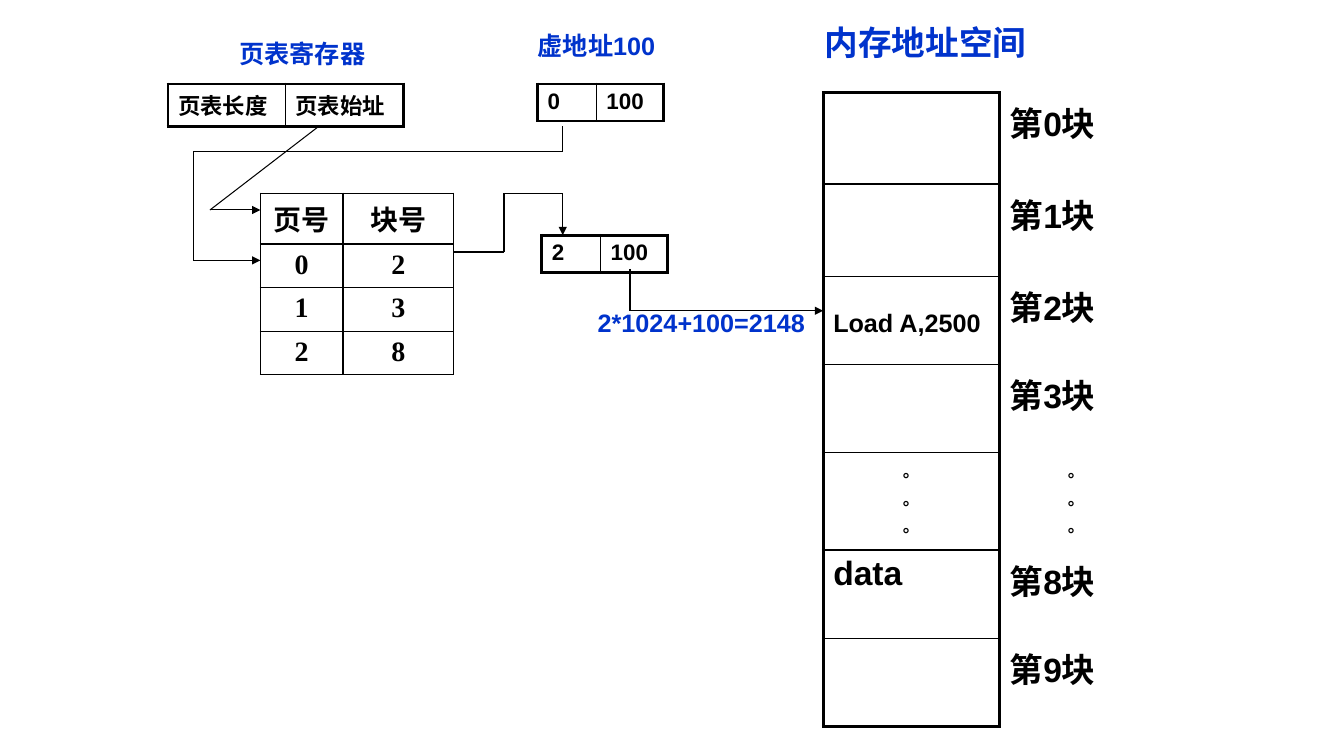
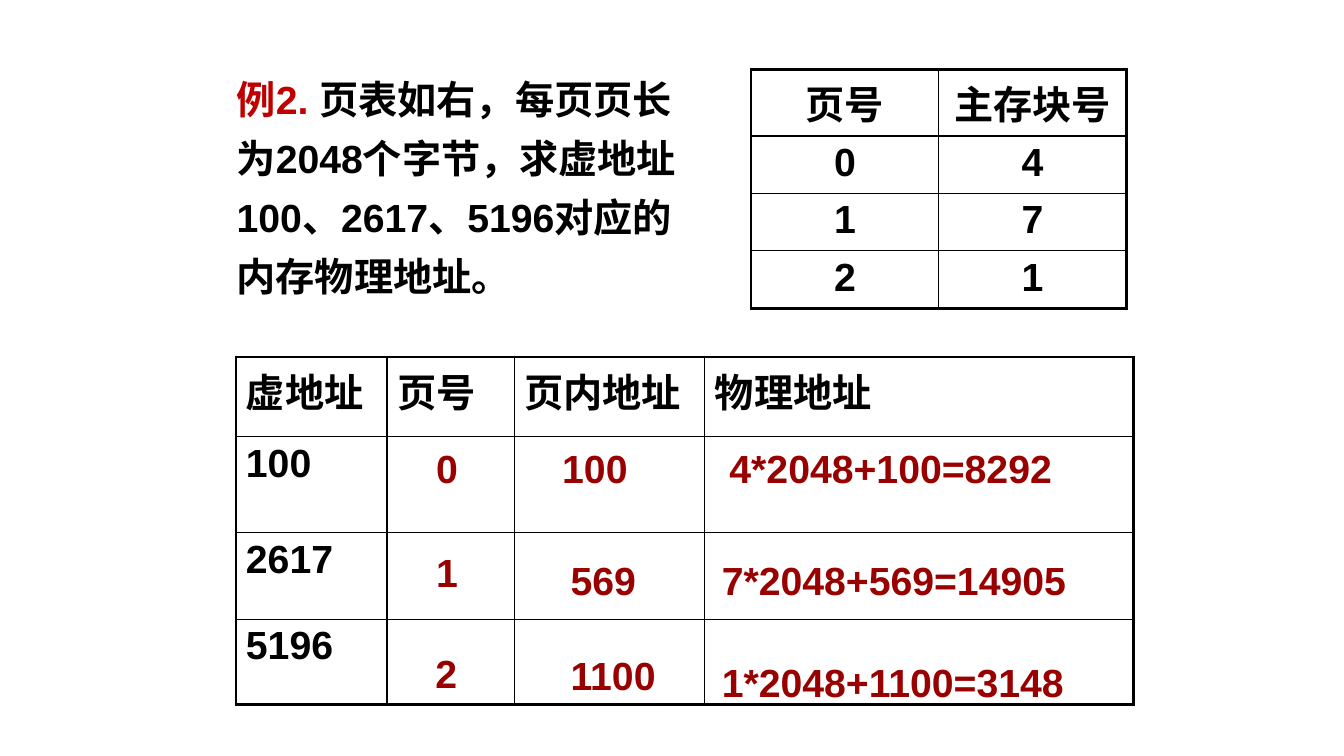
"""Build two slides on translating virtual addresses with a page table."""
from itertools import pairwise

from lxml import etree
from pptx import Presentation
from pptx.dml.color import RGBColor
from pptx.enum.shapes import MSO_CONNECTOR
from pptx.enum.text import PP_ALIGN
from pptx.oxml.ns import qn
from pptx.util import Pt

LEFT, CENTER = PP_ALIGN.LEFT, PP_ALIGN.CENTER
STRAIGHT = MSO_CONNECTOR.STRAIGHT
BLACK, BLUE, RED, DARK_RED = "000000", "0033CC", "C00000", "990000"
THICK, THIN, ARROW = 2.25, 1, 0.75
BASE = {"name": "Arial", "size": 18, "bold": True, "color": BLACK, "align": LEFT}

DOTS = ("。\n。\n。", {"size": 12, "align": CENTER})
LOAD = ("Load A,2500", {"size": 18, "top": 24})
ADDRESS = {"cols": [42, 48], "heights": [26.4], "format": {"size": 16}}

HEADINGS = [
    ("内存地址空间", (582, 12, 174, 36), {"size": 24}),
    ("页表寄存器", (156, 24, 120, 29), {"align": CENTER}),
    ("虚地址100", (366, 18, 120, 29), {"align": CENTER}),
    ("2*1024+100=2148", (414, 216, 174, 29), {"align": CENTER}),
]
TRANSLATION_TABLES = [
    {"at": (588, 66), "cols": [126, 109.5], "framed": 1,
     "heights": [65.5, 66, 63, 63, 69.5, 63, 63], "format": {"size": 24},
     "rows": [["", "第0块"], ["", "第1块"], [LOAD, "第2块"], ["", "第3块"],
              [DOTS, DOTS], ["data", "第8块"], ["", "第9块"]]},
    {"at": (120, 60), "cols": [84, 84], "heights": [30], "format": {"size": 16},
     "rows": [["页表长度", "页表始址"]]},
    {"at": (186, 138), "cols": [59, 79], "heights": [31.2] * 4, "outer": THIN,
     "format": {"size": 20, "name": "Times New Roman", "align": CENTER},
     "rows": [["页号", "块号"], ["0", "2"], ["1", "3"], ["2", "8"]]},
    {"at": (384, 60), "rows": [["0", "100"]], **ADDRESS},
    {"at": (387, 168), "rows": [["2", "100"]], **ADDRESS},
]
ROUTES = [
    [(228, 90), (150, 150), (186, 150)],
    [(402, 90), (402, 108), (138, 108), (138, 186), (186, 186)],
    [(324, 180), (360, 180), (360, 138), (402, 138), (402, 168)],
    [(450, 192), (450, 222), (588, 222)],
]

QUESTION = [
    ("例2. ", RED),
    ("页表如右，每页页长为2048个字节，求虚地址100、2617、5196对应的内存物理地址。", BLACK),
]
EXERCISE_TABLES = [
    {"at": (168.5, 255), "cols": [108, 91, 136, 306],
     "heights": [57, 68.5, 62, 61], "format": {"size": 28},
     "rows": [["虚地址", "页号", "页内地址", "物理地址"],
              ["100", "", "", ""], ["2617", "", "", ""], ["5196", "", "", ""]]},
    {"at": (536.5, 49.5), "cols": [134, 134], "heights": [41] * 4,
     "format": {"size": 28, "align": CENTER},
     "rows": [["页号", "主存块号"], ["0", "4"], ["1", "7"], ["2", "1"]]},
]
ANSWER_WIDTHS = [57, 85, 294]
ANSWERS = [
    [("0", 304.5, 314), ("100", 394.5, 314), ("4*2048+100=8292", 514, 314)],
    [("1", 304.5, 388), ("569", 400.5, 394), ("7*2048+569=14905", 508.5, 394)],
    [("2", 304, 460), ("1100", 400.5, 461.5), ("1*2048+1100=3148", 508.5, 467)],
]


def rgb(value):
    """Turn a hex string into a colour."""
    return RGBColor.from_string(value)


def add_run(paragraph, text, look):
    """Append a run and apply its font values."""
    run = paragraph.add_run()
    run.text = text
    values = {"name": look["name"], "size": Pt(look["size"]), "bold": look["bold"]}
    for key, value in values.items():
        setattr(run.font, key, value)
    run.font.color.rgb = rgb(look["color"])


def write(frame, text, look):
    """Fill a text frame with one paragraph for each line of text."""
    for index, line in enumerate(text.split("\n")):
        paragraph = frame.add_paragraph() if index else frame.paragraphs[0]
        paragraph.alignment = look["align"]
        if index:
            paragraph.space_before = Pt(0.2 * look["size"])
        add_run(paragraph, line, look)


def add_box(slide, box):
    """Add an empty wrapping text box and return its text frame."""
    frame = slide.shapes.add_textbox(*map(Pt, box)).text_frame
    frame.word_wrap = True
    return frame


def set_borders(cell, widths):
    """Draw the four cell borders, leaving out those of zero width."""
    properties = cell._tc.get_or_add_tcPr()
    for index, (side, width) in enumerate(widths.items()):
        line = etree.Element(qn(f"a:ln{side}"), w=str(Pt(width)))
        if width:
            fill = etree.SubElement(line, qn("a:solidFill"))
            etree.SubElement(fill, qn("a:srgbClr"), val=BLACK)
        else:
            etree.SubElement(line, qn("a:noFill"))
        properties.insert(index, line)


def add_grid(slide, grid):
    """Add a table whose first framed columns carry an outer border."""
    cols, heights, rows = grid["cols"], grid["heights"], grid["rows"]
    outer, framed = grid.get("outer", THICK), grid.get("framed", len(cols))
    size = (sum(cols), sum(heights))
    table = slide.shapes.add_table(
        len(rows), len(cols), *map(Pt, grid["at"] + size)).table
    table.first_row = table.horz_banding = False
    for column, width in zip(table.columns, cols):
        column.width = Pt(width)
    for row, height in zip(table.rows, heights):
        row.height = Pt(height)
    for r, row in enumerate(rows):
        for c, content in enumerate(row):
            text, extra = content if isinstance(content, tuple) else (content, {})
            look = {**BASE, **grid["format"], **extra}
            cell = table.cell(r, c)
            cell.fill.background()
            inner, edge = (THIN, outer) if c < framed else (0, 0)
            set_borders(cell, {
                "L": outer if c in (0, framed) else inner,
                "R": edge if c == framed - 1 else inner,
                "T": inner if r else edge,
                "B": edge if r == len(rows) - 1 else inner,
            })
            if "top" in look:
                cell.margin_top = Pt(look["top"])
            if text:
                write(cell.text_frame, text, look)


def add_route(slide, points):
    """Join points with straight lines and end in an arrowhead."""
    for start, end in pairwise(points):
        line = slide.shapes.add_connector(STRAIGHT, *map(Pt, start + end))
        line.line.color.rgb = rgb(BLACK)
        line.line.width = Pt(ARROW)
        if end == points[-1]:
            etree.SubElement(line.line._get_or_add_ln(), qn("a:tailEnd"), type="triangle")
        etree.SubElement(line._element.spPr, qn("a:effectLst"))


def build_translation(slide):
    """Show how a virtual address reaches a memory block."""
    for grid in TRANSLATION_TABLES:
        add_grid(slide, grid)
    for points in ROUTES:
        add_route(slide, points)
    for text, box, extra in HEADINGS:
        write(add_box(slide, box), text, {**BASE, "color": BLUE, **extra})


def build_exercise(slide):
    """Show the exercise with its worked answers."""
    for grid in EXERCISE_TABLES:
        add_grid(slide, grid)
    for row in ANSWERS:
        for (text, left, top), width in zip(row, ANSWER_WIDTHS):
            write(add_box(slide, (left, top, width, 41)), text,
                  {**BASE, "size": 28, "color": DARK_RED})
    question = add_box(slide, (162, 42, 346, 177)).paragraphs[0]
    question.line_spacing = 1.25
    for text, color in QUESTION:
        add_run(question, text, {**BASE, "size": 28, "color": color})


def main():
    """Build and save the presentation."""
    deck = Presentation()
    deck.slide_width, deck.slide_height = Pt(960), Pt(540)
    for build in (build_translation, build_exercise):
        build(deck.slides.add_slide(deck.slide_layouts[6]))
    deck.save("out.pptx")


if __name__ == "__main__":
    main()
